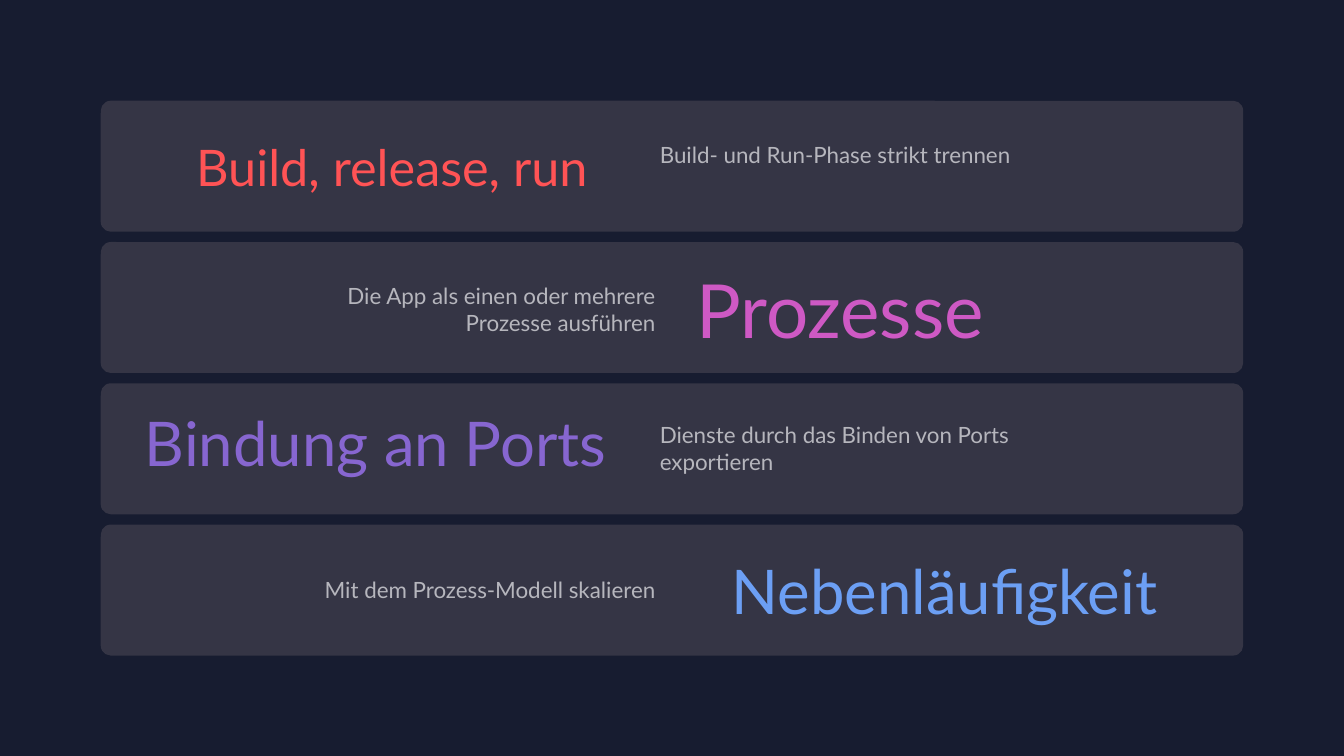
from collections import namedtuple

from pptx import Presentation
from pptx.dml.color import RGBColor
from pptx.enum import shapes, text
from pptx.util import Cm, Pt

BACKGROUND = RGBColor(0x17, 0x1C, 0x30)
CARD_FILL = RGBColor(0x35, 0x35, 0x45)
CAPTION_GREY = RGBColor(0xB6, 0xB6, 0xBD)
RED = RGBColor(0xFF, 0x53, 0x55)
PINK = RGBColor(0xCE, 0x59, 0xC4)
PURPLE = RGBColor(0x87, 0x66, 0xD0)
BLUE = RGBColor(0x6C, 0x9F, 0xF4)
TEAL = RGBColor(0x5B, 0xC9, 0xB0)

FONT = "Lato"
LEFT, RIGHT = text.PP_ALIGN.LEFT, text.PP_ALIGN.RIGHT

# Card stack, in centimetres
CARD_LEFT, CARD_TOP = 2.54, 2.54
CARD_WIDTH, CARD_HEIGHT, CARD_PITCH = 28.79, 3.3, 3.56
CAPTION_WIDTH = 10.57
CAPTION_BESIDE = {LEFT: 13.84, RIGHT: 3.66}

# Boxes are (left, top, width, height) relative to the card
Factor = namedtuple("Factor", "title title_box size colors angle title_align "
                              "caption caption_top caption_height")
FACTORS = [
    Factor("Build, release, run", (0.48, 0.76, 12.04, 1.8), 36, (RED, PINK), 250, RIGHT,
           "Build- und Run-Phase strikt trennen", 0.89, 0.94),
    Factor("Prozesse", (14.76, 0.43, 13.9, 2.54), 53.3, (PINK, PURPLE), 250, LEFT,
           "Die App als einen oder mehrere Prozesse ausführen", 0.89, 1.63),
    Factor("Bindung an Ports", (-1.3, 0.43, 14.3, 2.13), 44, (PURPLE, BLUE), 50, RIGHT,
           "Dienste durch das Binden von Ports exportieren", 0.84, 1.63),
    Factor("Nebenläufigkeit", (15.65, 0.58, 13, 2.13), 44, (BLUE, TEAL), 50, LEFT,
           "Mit dem Prozess-Modell skalieren", 1.17, 0.94),
]


def add_text(slide, content, box, *, size, align, colors, angle=0):
    """Add a text box; two colours give a gradient, one a solid fill."""
    shape = slide.shapes.add_textbox(*(Cm(length) for length in box))
    frame = shape.text_frame
    frame.word_wrap = True
    frame.auto_size = text.MSO_AUTO_SIZE.SHAPE_TO_FIT_TEXT
    paragraph = frame.paragraphs[0]
    paragraph.alignment = align
    run = paragraph.add_run()
    run.text = content
    run.font.name = FONT
    run.font.size = Pt(size)
    if len(colors) == 1:
        run.font.color.rgb = colors[0]
    else:
        fill = run.font.fill
        fill.gradient()
        fill.gradient_angle = angle
        for stop, color in zip(fill.gradient_stops, colors):
            stop.color.rgb = color


def add_card(slide, factor, left, top, width, height):
    # Rounded background
    card = slide.shapes.add_shape(shapes.MSO_SHAPE.ROUNDED_RECTANGLE,
                                  Cm(left), Cm(top), Cm(width), Cm(height))
    card.adjustments[0] = 0.076
    card.shadow.inherit = False
    card.fill.solid()
    card.fill.fore_color.rgb = CARD_FILL
    card.line.fill.background()

    # Title
    x, y, title_width, title_height = factor.title_box
    add_text(slide, factor.title, (left + x, top + y, title_width, title_height),
             size=factor.size, align=factor.title_align,
             colors=factor.colors, angle=factor.angle)

    # Caption on the opposite side, facing the title
    align = LEFT if factor.title_align == RIGHT else RIGHT
    add_text(slide, factor.caption,
             (left + CAPTION_BESIDE[align], top + factor.caption_top,
              CAPTION_WIDTH, factor.caption_height),
             size=16, align=align, colors=(CAPTION_GREY,))


def main():
    presentation = Presentation()
    presentation.slide_width, presentation.slide_height = Cm(33.87), Cm(19.05)
    slide = presentation.slides.add_slide(presentation.slide_layouts[6])
    slide.background.fill.solid()
    slide.background.fill.fore_color.rgb = BACKGROUND

    for row, factor in enumerate(FACTORS):
        add_card(slide, factor, CARD_LEFT, CARD_TOP + row * CARD_PITCH,
                 CARD_WIDTH, CARD_HEIGHT)

    presentation.save("out.pptx")


if __name__ == "__main__":
    main()
